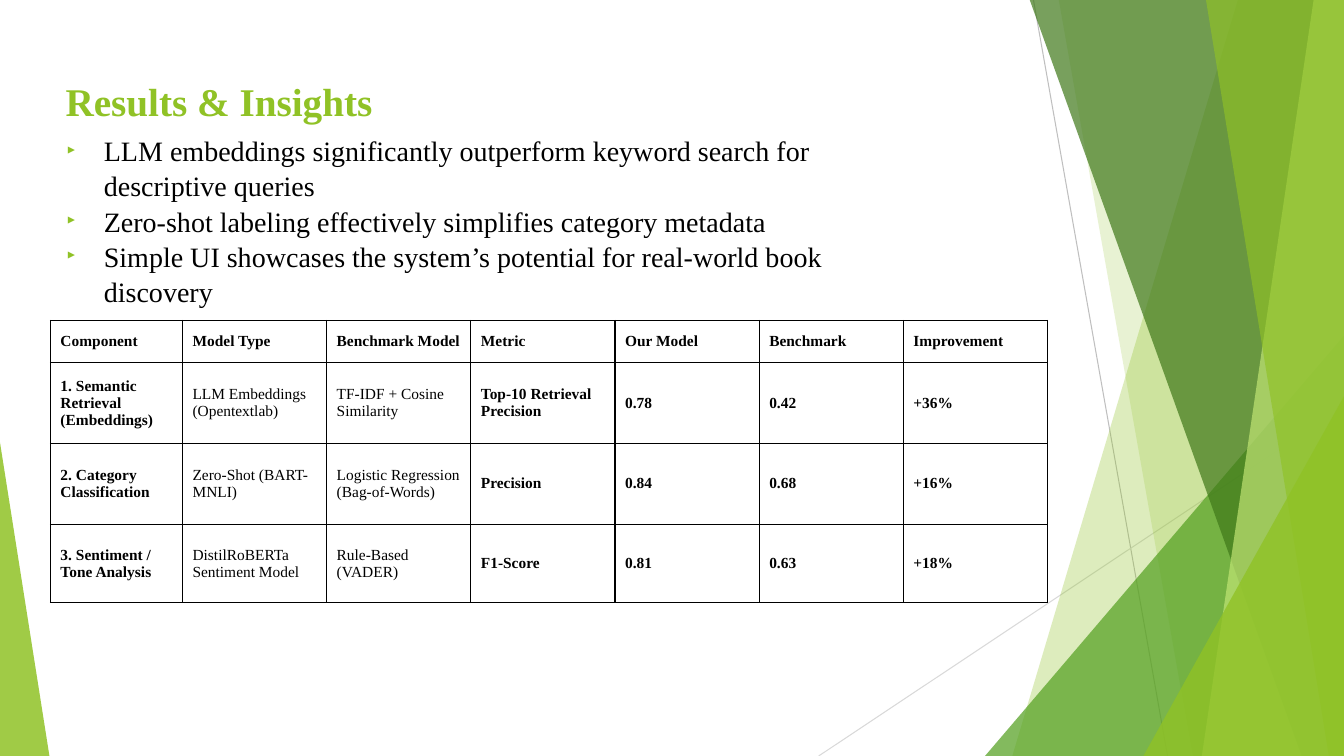
import dataclasses

import lxml.etree
import pptx
import pptx.dml.color
import pptx.enum.shapes
import pptx.enum.text
import pptx.oxml.ns
import pptx.util

Inches = pptx.util.Inches
Pt = pptx.util.Pt
qn = pptx.oxml.ns.qn


@dataclasses.dataclass(frozen=True)
class Theme:
    """Colours, font and type sizes of the slide."""
    font: str = "Times New Roman"
    green: str = "90C226"
    leaf: str = "54A021"
    forest: str = "3F7819"
    lime: str = "C0E474"
    ink: str = "000000"
    steep_line: str = "BFBFBF"
    flat_line: str = "D9D9D9"
    title_size: int = 28
    body_size: int = 20
    table_size: int = 11


THEME = Theme()
SLIDE_WIDTH, SLIDE_HEIGHT = 13.33, 7.5

BULLETS = [
    "LLM embeddings significantly outperform keyword search for descriptive queries",
    "Zero-shot labeling effectively simplifies category metadata",
    "Simple UI showcases the system’s potential for real-world book discovery",
]
RESULTS = [
    ["Component", "Model Type", "Benchmark Model", "Metric", "Our Model", "Benchmark", "Improvement"],
    ["1. Semantic Retrieval (Embeddings)", "LLM Embeddings (Opentextlab)",
     "TF-IDF + Cosine Similarity", "Top-10 Retrieval Precision", "0.78", "0.42", "+36%"],
    ["2. Category Classification", "Zero-Shot (BART-MNLI)",
     "Logistic Regression (Bag-of-Words)", "Precision", "0.84", "0.68", "+16%"],
    ["3. Sentiment / Tone Analysis", "DistilRoBERTa Sentiment Model",
     "Rule-Based (VADER)", "F1-Score", "0.81", "0.63", "+18%"],
]
COLUMN_WIDTHS = [1.31] + [1.43] * 6
ROW_HEIGHTS = [0.42, 0.8, 0.8, 0.78]
MODEL_COLUMNS = (1, 2)


def rgb(color):
    """Return a colour object for a hex string."""
    return pptx.dml.color.RGBColor.from_string(color)


def add_element(parent, tag, **attributes):
    """Append a DrawingML element to its parent."""
    return lxml.etree.SubElement(parent, qn(tag), attributes)


def write_text(paragraph, text, *, size, color=THEME.ink, bold=False, line_spacing=1.0):
    """Write text into a paragraph with its format."""
    paragraph.alignment = pptx.enum.text.PP_ALIGN.LEFT
    paragraph.space_before = Pt(0)
    paragraph.line_spacing = line_spacing
    run = paragraph.add_run()
    run.text = text
    run.font.name = THEME.font
    run.font.size = Pt(size)
    run.font.bold = bold
    run.font.color.rgb = rgb(color)


def add_bullet(paragraph):
    """Give a paragraph a hanging green arrow bullet."""
    properties = paragraph._p.get_or_add_pPr()
    properties.set("marL", str(Inches(0.38)))
    properties.set("indent", str(-Inches(0.38)))
    add_element(add_element(properties, "a:buClr"), "a:srgbClr", val=THEME.green)
    add_element(properties, "a:buSzPct", val="80000")
    add_element(properties, "a:buFont", typeface=THEME.font)
    add_element(properties, "a:buChar", char="‣")


def place_placeholder(shape, left, top, width, height):
    """Move a placeholder and return its text frame."""
    shape.left, shape.top = Inches(left), Inches(top)
    shape.width, shape.height = Inches(width), Inches(height)
    frame = shape.text_frame
    frame.word_wrap = True
    frame.auto_size = pptx.enum.text.MSO_AUTO_SIZE.NONE
    frame.vertical_anchor = pptx.enum.text.MSO_ANCHOR.TOP
    return frame


def paint(shape, color, opacity):
    """Fill a shape with a translucent colour and no outline."""
    shape.shadow.inherit = False
    shape.line.fill.background()
    shape.fill.solid()
    shape.fill.fore_color.rgb = rgb(color)
    color_element = shape.fill._xPr.find(qn("a:solidFill"))[0]
    add_element(color_element, "a:alpha", val=str(opacity * 1000))


def add_ribbon(slide, top_x, bottom_x, color, opacity):
    """Draw a band from a slanted edge to the right side of the slide."""
    builder = slide.shapes.build_freeform(Inches(top_x), Inches(-0.01), scale=1.0)
    corners = [(SLIDE_WIDTH, -0.01), (SLIDE_WIDTH, SLIDE_HEIGHT), (bottom_x, SLIDE_HEIGHT)]
    builder.add_line_segments([(Inches(x), Inches(y)) for x, y in corners], close=True)
    paint(builder.convert_to_shape(), color, opacity)


def add_corner(slide, left, top, width, apex, color, opacity):
    """Draw a right triangle that stands on the bottom of the slide."""
    shape = slide.shapes.add_shape(
        pptx.enum.shapes.MSO_SHAPE.ISOSCELES_TRIANGLE,
        Inches(left), Inches(top), Inches(width), Inches(SLIDE_HEIGHT - top))
    shape.adjustments[0] = apex
    paint(shape, color, opacity)


def add_thin_line(slide, start, end, color):
    """Draw a hairline between two points."""
    points = [Inches(value) for value in start + end]
    line = slide.shapes.add_connector(pptx.enum.shapes.MSO_CONNECTOR.STRAIGHT, *points)
    line.line.color.rgb = rgb(color)
    line.line.width = Pt(0.75)
    add_element(line._element.spPr, "a:effectLst")


def add_facets(slide):
    """Draw the green facets along the slide edges."""
    add_thin_line(slide, (10.25, 0), (11.58, SLIDE_HEIGHT), THEME.steep_line)
    add_thin_line(slide, (SLIDE_WIDTH, 4.03), (8.12, SLIDE_HEIGHT), THEME.flat_line)
    add_ribbon(slide, 12.28, 10.04, THEME.green, 30)
    add_ribbon(slide, 10.5, 11.83, THEME.green, 20)
    add_corner(slide, 9.77, 3.33, 3.56, 1, THEME.leaf, 72)
    add_ribbon(slide, 10.21, 12.91, THEME.forest, 70)
    add_ribbon(slide, 13.03, 11.92, THEME.lime, 70)
    add_ribbon(slide, 11.96, 13.18, THEME.green, 65)
    add_corner(slide, 11.34, 3.93, 1.99, 1, THEME.green, 80)
    add_corner(slide, 0, 4.39, 0.49, 0, THEME.green, 85)


def add_borders(cell):
    """Outline all four sides of a table cell."""
    properties = cell._tc.get_or_add_tcPr()
    for position, side in enumerate(("a:lnL", "a:lnR", "a:lnT", "a:lnB")):
        border = add_element(properties, side, w=str(Pt(1)))
        add_element(add_element(border, "a:solidFill"), "a:srgbClr", val=THEME.ink)
        properties.insert(position, border)


def add_results_table(slide):
    """Add the table that compares models with benchmarks."""
    table = slide.shapes.add_table(
        len(RESULTS), len(COLUMN_WIDTHS), Inches(0.5), Inches(3.18),
        Inches(sum(COLUMN_WIDTHS)), Inches(sum(ROW_HEIGHTS))).table
    table.first_row = False
    table.horz_banding = False
    for column, width in zip(table.columns, COLUMN_WIDTHS):
        column.width = Inches(width)
    for row, height in zip(table.rows, ROW_HEIGHTS):
        row.height = Inches(height)
    for row_index, texts in enumerate(RESULTS):
        for column_index, text in enumerate(texts):
            cell = table.cell(row_index, column_index)
            cell.fill.background()
            cell.vertical_anchor = pptx.enum.text.MSO_ANCHOR.MIDDLE
            add_borders(cell)
            bold = row_index == 0 or column_index not in MODEL_COLUMNS
            write_text(cell.text_frame.paragraphs[0], text, size=THEME.table_size, bold=bold)


def main():
    """Build the slide and save it."""
    presentation = pptx.Presentation()
    presentation.slide_width = Inches(SLIDE_WIDTH)
    presentation.slide_height = Inches(SLIDE_HEIGHT)
    slide = presentation.slides.add_slide(presentation.slide_layouts[1])
    add_facets(slide)
    add_results_table(slide)
    title = place_placeholder(slide.shapes.title, 0.55, 0.72, 6.67, 0.57)
    write_text(title.paragraphs[0], "Results & Insights",
               size=THEME.title_size, color=THEME.green, bold=True)
    body = place_placeholder(slide.placeholders[1], 0.55, 1.26, 8.43, 1.78)
    for index, text in enumerate(BULLETS):
        paragraph = body.add_paragraph() if index else body.paragraphs[0]
        add_bullet(paragraph)
        write_text(paragraph, text, size=THEME.body_size, line_spacing=1.05)
    presentation.save("out.pptx")


if __name__ == "__main__":
    main()
